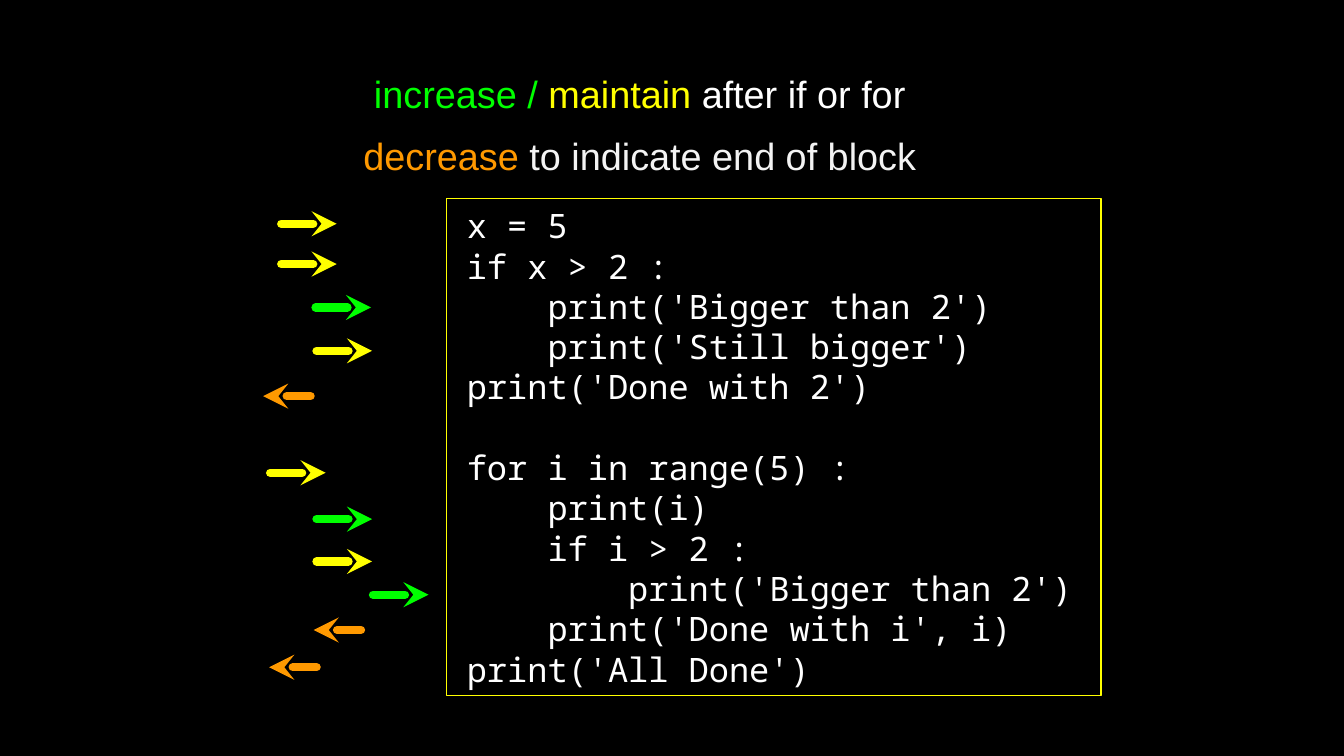
import pptx
import pptx.dml.color
import pptx.enum.shapes
import pptx.enum.text
import pptx.oxml
import pptx.oxml.ns
import pptx.util
from pptx.util import Inches

GREEN, YELLOW, ORANGE = "00FF00", "FFFF00", "FF9900"
WHITE, OFF_WHITE, BLACK = "FFFFFF", "F3F3F3", "000000"

CODE = """x = 5
if x > 2 :
    print('Bigger than 2')
    print('Still bigger')
print('Done with 2')

for i in range(5) :
    print(i)
    if i > 2 :
        print('Bigger than 2')
    print('Done with i', i)
print('All Done')"""
CODE_LINE_HEIGHT = 28.8

HEADING = [
    [("increase / ", GREEN), ("maintain ", YELLOW), ("after if or for", WHITE)],
    [("decrease ", ORANGE), ("to indicate end of block", OFF_WHITE)],
]

# Indentation change at each code line: tip x, y, colour
INDENT_STEPS = [
    (3.34, 2.22, YELLOW),
    (3.34, 2.62, YELLOW),
    (3.68, 3.05, GREEN),
    (3.69, 3.48, YELLOW),
    (2.61, 3.93, ORANGE),
    (3.23, 4.69, YELLOW),
    (3.69, 5.15, GREEN),
    (3.69, 5.57, YELLOW),
    (4.25, 5.9, GREEN),
    (3.11, 6.25, ORANGE),
    (2.67, 6.62, ORANGE),
]


def rgb(hex_string):
    return pptx.dml.color.RGBColor.from_string(hex_string)


def add_run(paragraph, text, *, size, font, color):
    run = paragraph.add_run()
    run.text = text
    run.font.size = pptx.util.Pt(size)
    run.font.name = font
    run.font.color.rgb = rgb(color)


def prepare_frame(frame, left_inset=0):
    frame.word_wrap = True
    frame.vertical_anchor = pptx.enum.text.MSO_ANCHOR.MIDDLE
    frame.margin_left = Inches(left_inset)
    frame.margin_right = frame.margin_top = frame.margin_bottom = 0


def next_paragraph(frame, index):
    return frame.add_paragraph() if index else frame.paragraphs[0]


def add_heading(slide):
    box = slide.shapes.add_textbox(
        Inches(3.4), Inches(0.79), Inches(5.89), Inches(0.88))
    prepare_frame(box.text_frame)
    for index, phrases in enumerate(HEADING):
        paragraph = next_paragraph(box.text_frame, index)
        paragraph.alignment = pptx.enum.text.PP_ALIGN.CENTER
        if index:
            paragraph.space_before = pptx.util.Pt(12)
        for text, color in phrases:
            add_run(paragraph, text, size=27, font="Arial", color=color)


def add_code_panel(slide):
    panel = slide.shapes.add_shape(
        pptx.enum.shapes.MSO_SHAPE.RECTANGLE,
        Inches(4.43), Inches(1.97), Inches(6.49), Inches(4.93))
    panel.shadow.inherit = False
    panel.fill.background()
    panel.line.color.rgb = rgb(YELLOW)
    panel.line.width = pptx.util.Pt(1)
    prepare_frame(panel.text_frame, left_inset=0.2)
    blocks = [block.split("\n") for block in CODE.split("\n\n")]
    for block_index, block in enumerate(blocks):
        for line_index, line in enumerate(block):
            paragraph = next_paragraph(panel.text_frame, block_index + line_index)
            paragraph.alignment = pptx.enum.text.PP_ALIGN.LEFT
            paragraph.line_spacing = pptx.util.Pt(CODE_LINE_HEIGHT)
            if block_index and not line_index:
                paragraph.space_before = pptx.util.Pt(CODE_LINE_HEIGHT)
            add_run(paragraph, line, size=24, font="Noto Sans Mono", color=WHITE)


def add_indent_arrow(slide, tip_x, y, color):
    """Orange arrows point left; all others point right."""
    tail_x = tip_x + 0.47 if color == ORANGE else tip_x - 0.55
    arrow = slide.shapes.add_connector(
        pptx.enum.shapes.MSO_CONNECTOR.STRAIGHT,
        Inches(tail_x), Inches(y), Inches(tip_x), Inches(y))
    arrow.line.color.rgb = rgb(color)
    arrow.line.width = pptx.util.Pt(6)
    outline = arrow.line._get_or_add_ln()
    outline.set("cap", "rnd")
    for tag in ("a:round", "a:tailEnd"):
        outline.append(pptx.oxml.parse_xml(
            f"<{tag} {pptx.oxml.ns.nsdecls('a')}/>"))
    outline[-1].set("type", "stealth")
    arrow._element.spPr.append(pptx.oxml.parse_xml(
        f"<a:effectLst {pptx.oxml.ns.nsdecls('a')}/>"))


def main():
    deck = pptx.Presentation()
    deck.slide_width, deck.slide_height = Inches(13.33), Inches(7.5)
    slide = deck.slides.add_slide(deck.slide_layouts[6])
    slide.background.fill.solid()
    slide.background.fill.fore_color.rgb = rgb(BLACK)
    add_code_panel(slide)
    add_heading(slide)
    for tip_x, y, color in INDENT_STEPS:
        add_indent_arrow(slide, tip_x, y, color)
    deck.save("out.pptx")


if __name__ == "__main__":
    main()
